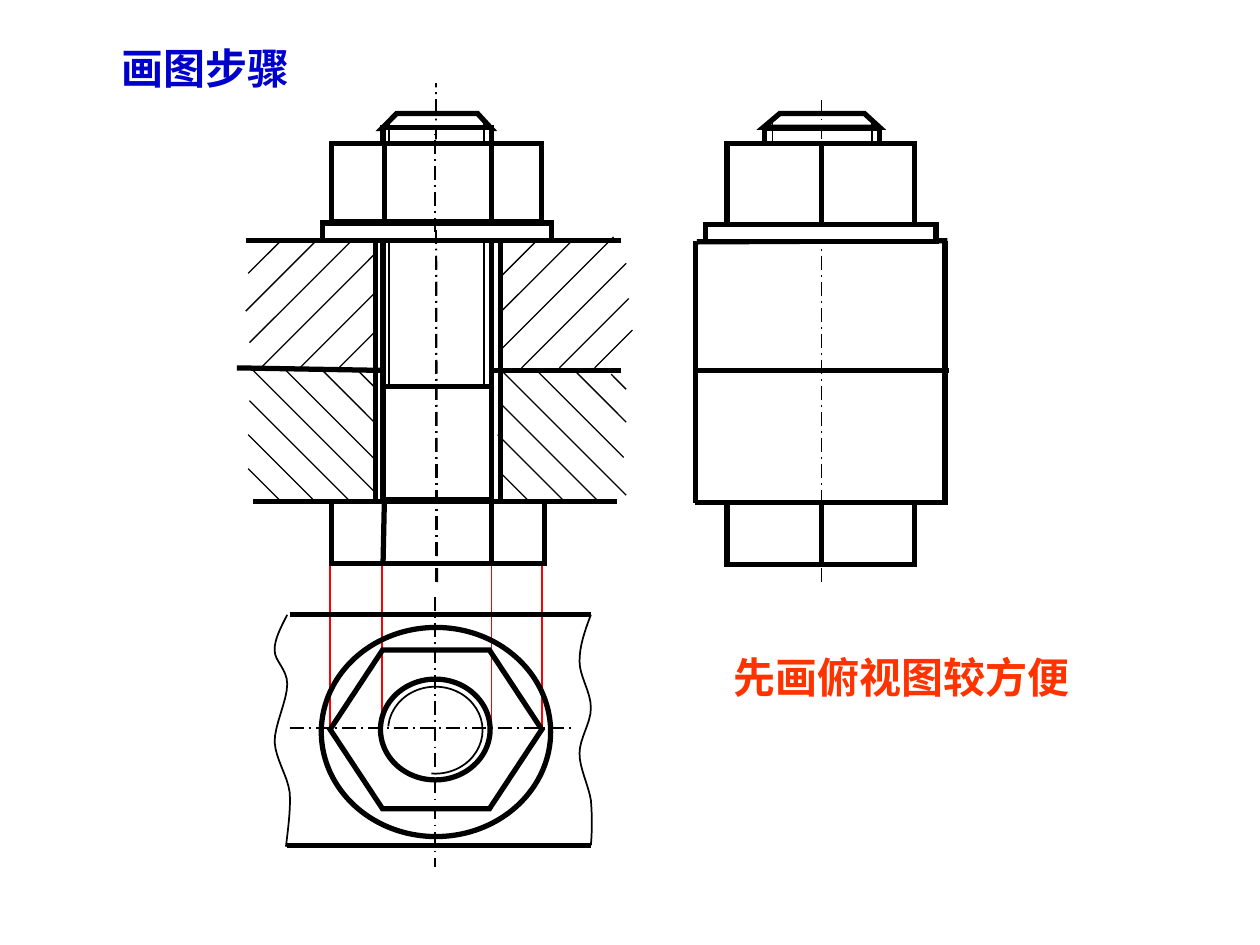
"""Build a slide showing the drawing steps of a bolted joint in three views."""
from dataclasses import dataclass

from lxml.etree import SubElement
from pptx import Presentation
from pptx.dml.color import RGBColor
from pptx.enum.dml import MSO_LINE
from pptx.enum.shapes import MSO_CONNECTOR, MSO_SHAPE as SHAPE
from pptx.enum.text import MSO_ANCHOR
from pptx.oxml.ns import qn
from pptx.util import Inches, Pt


@dataclass
class Theme:
    black: str = "000000"
    white: str = "FFFFFF"
    red: str = "FF0000"
    title: str = "0000CC"
    note: str = "FF3300"
    font: str = "Times New Roman"
    size: int = 24
    thick: float = 3
    thin: float = 1
    hatch: float = 0.75


theme = Theme()
presentation = Presentation()
presentation.slide_width, presentation.slide_height = Inches(10), Inches(7.5)
slide = presentation.slides.add_slide(presentation.slide_layouts[6])


def add_text(text, left, top, width, height, color):
    box = slide.shapes.add_textbox(*map(Inches, (left, top, width, height)))
    frame = box.text_frame
    frame.word_wrap = True
    frame.vertical_anchor = MSO_ANCHOR.MIDDLE
    run = frame.paragraphs[0].add_run()
    run.text = text
    run.font.name, run.font.size, run.font.bold = theme.font, Pt(theme.size), True
    run.font.color.rgb = RGBColor.from_string(color)


def draw(kind, geometry, weight=theme.thick, color=theme.black, fill=None, dashed=False, closed=False):
    if kind == "line":
        shape = slide.shapes.add_connector(MSO_CONNECTOR.STRAIGHT, *map(Inches, geometry))
        SubElement(shape._element.spPr, qn("a:effectLst"))
    else:
        if kind == "path":
            points = [(Inches(x), Inches(y)) for x, y in geometry]
            builder = slide.shapes.build_freeform(*points[0])
            builder.add_line_segments(points[1:], close=closed)
            shape = builder.convert_to_shape()
        else:
            shape = slide.shapes.add_shape(kind, *map(Inches, geometry))
        shape.shadow.inherit = False
        if fill:
            shape.fill.solid()
            shape.fill.fore_color.rgb = RGBColor.from_string(fill)
        else:
            shape.fill.background()
    shape.line.width = Pt(weight)
    shape.line.color.rgb = RGBColor.from_string(color)
    if dashed:
        shape.line.dash_style = MSO_LINE.LONG_DASH_DOT
    SubElement(shape._element.spPr.find(qn("a:ln")), qn("a:miter"), lim="800000")
    return shape


thread_gap = [(3.02, 5.79), (3.03, 5.76), (3.12, 5.77), (3.14, 5.79), (3.16, 5.81), (3.11, 5.85),
              (3.15, 5.91), (3.2, 5.96), (3.37, 6.05), (3.4, 6.1), (3.44, 6.15), (3.4, 6.2),
              (3.37, 6.21), (3.33, 6.22), (3.24, 6.18), (3.19, 6.16), (3.14, 6.13), (3.11, 6.1),
              (3.08, 6.07), (3.05, 6.03), (3.02, 6.01), (3.01, 5.96), (3, 5.91), (3.02, 5.83), (3.02, 5.79)]
left_break = [(2.28, 4.88), (2.23, 4.98), (2.18, 5.07), (2.18, 5.16), (2.18, 5.25), (2.28, 5.31),
              (2.28, 5.43), (2.28, 5.56), (2.18, 5.75), (2.18, 5.89), (2.19, 6.03), (2.28, 6.15),
              (2.3, 6.29), (2.31, 6.43), (2.28, 6.63), (2.27, 6.72)]
right_break = [(4.69, 4.88), (4.64, 5.01), (4.6, 5.13), (4.6, 5.25), (4.6, 5.37), (4.69, 5.49),
               (4.69, 5.62), (4.69, 5.74), (4.6, 5.86), (4.6, 5.98), (4.6, 6.1), (4.67, 6.23),
               (4.69, 6.35), (4.7, 6.47), (4.7, 6.59), (4.69, 6.71)]
curves = []
for controls in (thread_gap, left_break, right_break):
    curve = [controls[0]]
    for start in range(0, len(controls) - 1, 3):
        for step in range(1, 9):
            t = step / 8
            weights = ((1 - t) ** 3, 3 * t * (1 - t) ** 2, 3 * t * t * (1 - t), t ** 3)
            segment = controls[start:start + 4]
            curve.append(tuple(sum(w * point[axis] for w, point in zip(weights, segment)) for axis in (0, 1)))
    curves.append(curve)
gap_curve, *break_curves = curves

draw(SHAPE.OVAL, (3.08, 5.45, 0.75, 0.69), theme.thin)
draw("path", gap_curve, theme.thin, theme.white, fill=theme.white, closed=True)

plate_edges = [(1.95, 1.91, 4.93, 1.91), (2.01, 3.98, 4.9, 3.98), (1.88, 2.92, 3.04, 2.94), (3.9, 2.94, 4.93, 2.94)]
for edge in plate_edges:
    draw("line", edge)

rising_hatch = [(1.97, 2.17, 0.27), (1.95, 2.47, 0.57), (1.98, 2.72, 0.82), (2.06, 2.93, 0.91),
                (2.37, 2.93, 0.61), (2.68, 2.93, 0.29), (3.97, 2.2, 0.29), (3.97, 2.48, 0.58),
                (3.97, 2.78, 0.9), (4.14, 2.92, 0.83), (4.44, 2.92, 0.55), (4.72, 2.92, 0.3)]
falling_hatch = [(2.83, 2.93, 0.14), (2.55, 2.93, 0.42), (2.26, 2.93, 0.71), (2, 2.93, 0.97),
                 (1.98, 3.18, 0.79), (1.97, 3.45, 0.52), (1.97, 3.72, 0.25), (3.97, 2.93, 1),
                 (3.97, 3.2, 0.78), (3.95, 3.45, 0.53), (3.97, 3.75, 0.23), (4.25, 2.93, 0.7),
                 (4.55, 2.93, 0.42), (4.85, 2.97, 0.12)]
for direction, hatch in ((-1, rising_hatch), (1, falling_hatch)):
    for x, y, reach in hatch:
        draw("line", (x, y, x + reach, y + direction * reach), theme.hatch)
for x in (3.97, 2.98):
    draw("line", (x, 1.91, x, 3.98))

add_text("画图步骤", 0.87, 0.29, 2.2, 0.5, color=theme.title)
add_text("先画俯视图较方便", 5.72, 5.12, 3.57, 0.5, color=theme.note)

for x, weight in ((2.62, theme.thin), (4.3, theme.thin), (3.03, theme.thin), (3.9, theme.hatch)):
    draw("line", (x, 4.48, x, 5.8), weight, theme.red)

draw("path", [(3.03, 1.02), (3.9, 1.02), (3.79, 0.9), (3.15, 0.9)], closed=True)
draw(SHAPE.RECTANGLE, (3.04, 1.01, 0.86, 2.96), fill=theme.white)
draw(SHAPE.RECTANGLE, (2.63, 3.98, 1.69, 0.49), fill=theme.white)
draw("line", (3.03, 3.07, 3.9, 3.07))
for x in (3.09, 3.84):
    draw("line", (x, 3.07, x, 0.95), theme.thin)
draw("line", (3.47, 4.62, 3.46, 0.66), theme.thin, dashed=True)
for edge in ((3.05, 4, 3.04, 4.48), (3.9, 3.98, 3.9, 4.48)):
    draw("line", edge)
draw(SHAPE.RECTANGLE, (2.56, 1.77, 1.82, 0.14), fill=theme.white)

hexagon = draw(SHAPE.HEXAGON, (2.62, 5.16, 1.68, 1.26))
hexagon.adjustments[0] = 0.33
for axis in ((2.3, 5.78, 4.53, 5.78), (3.45, 4.74, 3.45, 6.88)):
    draw("line", axis, theme.thin, dashed=True)
draw(SHAPE.OVAL, (2.55, 4.98, 1.82, 1.66))
for curve in break_curves:
    draw("path", curve, theme.thin)
for edge in ((2.3, 4.88, 4.69, 4.88), (2.28, 6.71, 4.69, 6.71)):
    draw("line", edge)
draw("line", (3.46, 4.62, 3.46, 0.72), theme.thin, dashed=True)
draw(SHAPE.OVAL, (3.02, 5.39, 0.87, 0.8))

draw(SHAPE.RECTANGLE, (2.63, 1.14, 1.67, 0.62), fill=theme.white)
for x in (3.05, 3.9):
    draw("line", (x, 1.77, x, 1.14))
draw("line", (3.45, 1.84, 3.45, 1.06), theme.thin, dashed=True)

draw("line", (6.52, 0.79, 6.52, 4.63), theme.thin, dashed=True)
for x in (6.13, 6.92):
    draw("line", (x, 1.62, x, 0.95), theme.thin)
draw("path", [(6.06, 1.01), (6.98, 1.01), (6.86, 0.9), (6.19, 0.9)], closed=True)
draw(SHAPE.RECTANGLE, (6.07, 1.02, 0.91, 0.62))
draw("line", (5.51, 2.94, 7.53, 2.94))
draw("line", (5.53, 1.92, 7.52, 1.91))
draw(SHAPE.RECTANGLE, (5.6, 1.78, 1.83, 0.14), fill=theme.white)
draw(SHAPE.RECTANGLE, (5.77, 1.14, 1.49, 0.64), fill=theme.white)
draw(SHAPE.RECTANGLE, (5.77, 3.99, 1.49, 0.49))
side_edges = [(6.52, 3.99, 6.52, 4.48), (6.52, 1.15, 6.52, 1.77), (7.5, 4.01, 7.5, 1.91),
              (5.52, 3.99, 5.52, 1.91), (5.52, 3.99, 7.5, 3.99)]
for edge in side_edges:
    draw("line", edge)

presentation.save("out.pptx")
